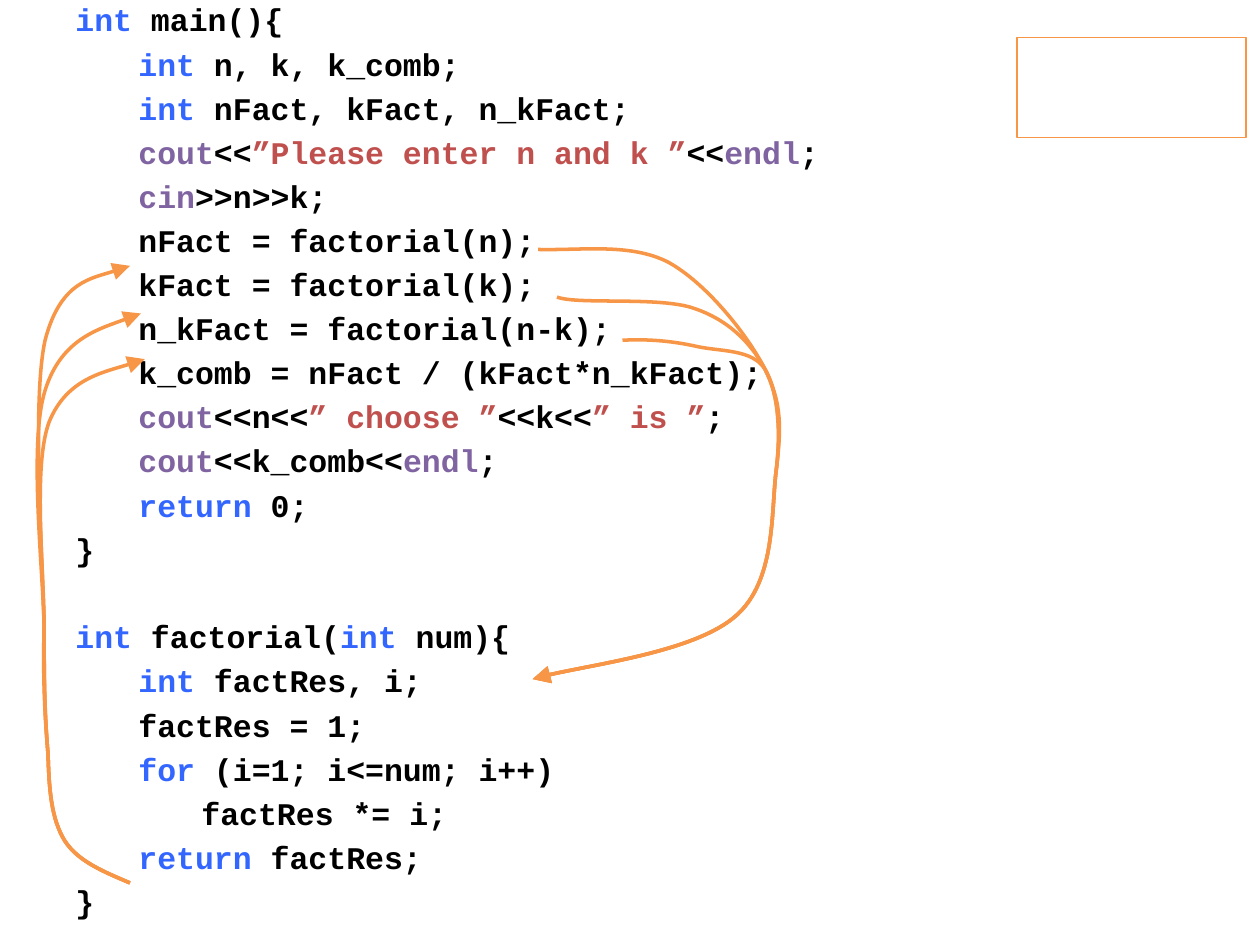
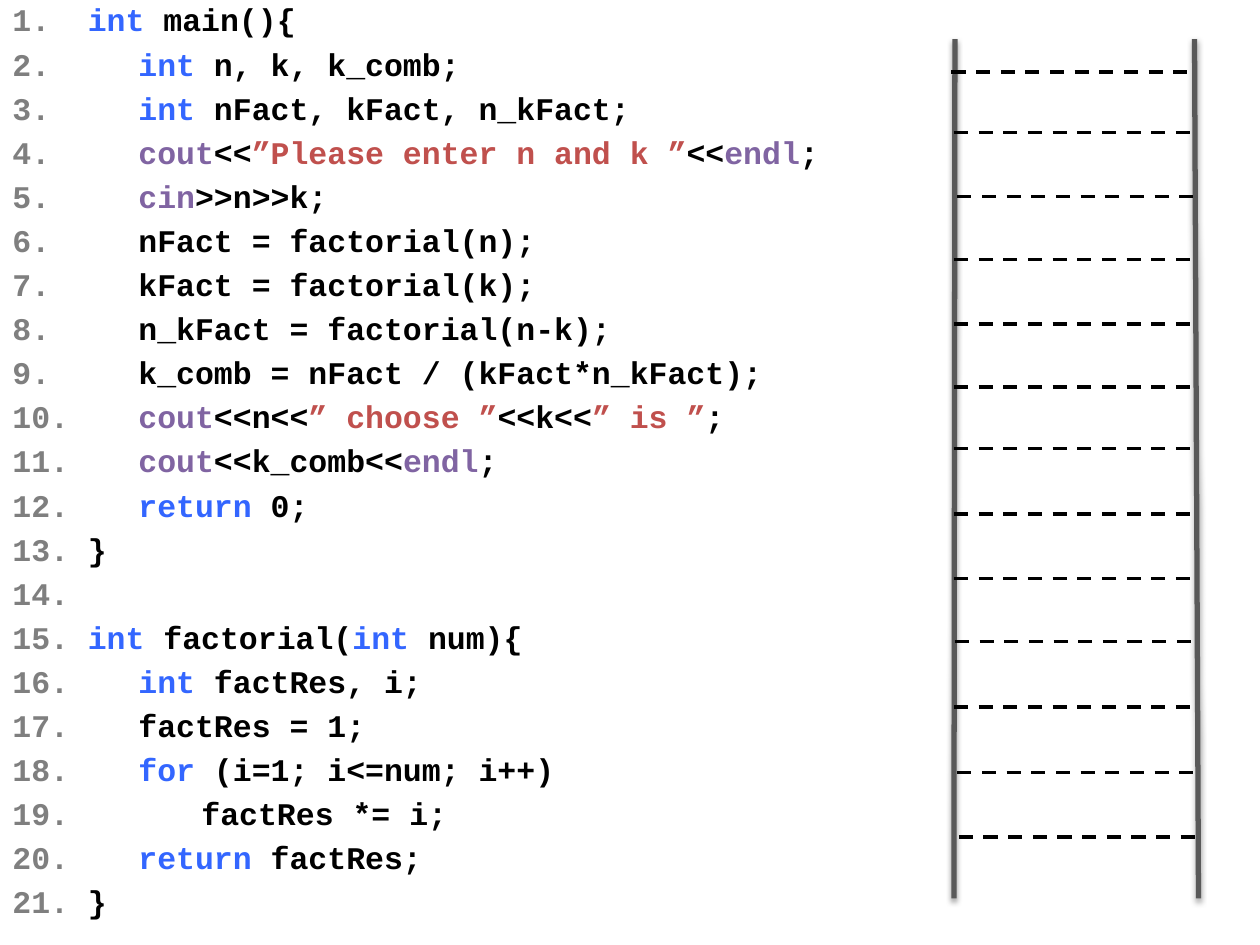
"""Build two slides that trace a factorial program: its calls and its stack."""
from dataclasses import dataclass
from itertools import groupby
from typing import Iterator, Optional

from lxml.etree import SubElement
from pptx import Presentation
from pptx.dml.color import RGBColor
from pptx.enum.dml import MSO_LINE
from pptx.enum.shapes import MSO_CONNECTOR, MSO_SHAPE
from pptx.oxml.ns import qn
from pptx.slide import Slide
from pptx.util import Cm, Pt

DASH = MSO_LINE.DASH
STRAIGHT = MSO_CONNECTOR.STRAIGHT
RECT = MSO_SHAPE.RECTANGLE

BLACK = RGBColor(0x00, 0x00, 0x00)
BLUE = RGBColor(0x33, 0x66, 0xFF)
PURPLE = RGBColor(0x80, 0x64, 0xA2)
RED = RGBColor(0xC0, 0x50, 0x4D)
GREY = RGBColor(0x7F, 0x7F, 0x7F)
ORANGE = RGBColor(0xF7, 0x96, 0x46)
DARK = RGBColor(0x59, 0x59, 0x59)

HUES = {"int": BLUE, "for": BLUE, "return": BLUE,
        "cout": PURPLE, "cin": PURPLE, "endl": PURPLE}
FORMAT = {"name": "Courier New", "size": Pt(18), "bold": True}
QUOTE = "”"
GAP, PITCH = 3.6, 24.9

CODE = """int main(){
\tint n, k, k_comb;
\tint nFact, kFact, n_kFact;
\tcout<<”Please enter n and k ”<<endl;
\tcin>>n>>k;
\tnFact = factorial(n);
\tkFact = factorial(k);
\tn_kFact = factorial(n-k);
\tk_comb = nFact / (kFact*n_kFact);
\tcout<<n<<” choose ”<<k<<” is ”;
\tcout<<k_comb<<endl;
\treturn 0;
}

int factorial(int num){
\tint factRes, i;
\tfactRes = 1;
\tfor (i=1; i<=num; i++)
\t\tfactRes *= i;
\treturn factRes;
}""".split("\n")

Point = tuple[float, float]

CALLS: list[list[Point]] = [
    [(12.55, 6.86), (13.08, 6.83), (13.59, 6.88), (14.07, 6.99),
     (14.55, 7.09), (15.16, 7.04), (15.42, 7.44), (15.67, 7.85)],
    [(11.23, 5.99), (11.66, 6.15), (13.31, 5.97), (14, 6.22),
     (14.68, 6.45), (15.14, 6.91), (15.42, 7.44), (15.7, 7.98)],
    [(10.85, 5.03), (11.76, 5.05), (12.7, 4.9), (13.46, 5.28),
     (14.22, 5.69), (15.06, 6.73), (15.42, 7.44), (15.77, 8.13)],
]
ENTRY: list[Point] = [
    (15.75, 8.64), (15.65, 9.47), (15.54, 10.31), (15.65, 11.71),
    (14.83, 12.42), (14.02, 13.13), (11.48, 13.46), (10.74, 13.69)]
EXIT: list[Point] = [
    (2.62, 17.8), (2.11, 17.58), (1.57, 17.37), (1.3, 16.94),
    (1.04, 16.51), (0.99, 15.95), (0.97, 15.21), (0.91, 14.5)]
RETURNS: list[list[Point]] = [
    [(0.86, 13.74), (0.89, 12.62), (0.89, 11.51), (0.66, 9.4),
     (0.99, 8.51), (1.35, 7.62), (2.59, 7.37), (2.92, 7.24)],
    [(0.89, 13.84), (0.89, 12.62), (0.86, 11.38), (0.58, 8.92),
     (0.91, 7.87), (1.24, 6.81), (2.51, 6.45), (2.84, 6.32)],
    [(0.89, 14.02), (0.89, 12.62), (0.86, 11.23), (0.64, 8.08),
     (0.91, 6.86), (1.22, 5.66), (2.29, 5.49), (2.62, 5.36)],
]


@dataclass
class Listing:
    """The frame and tab stops of a code listing, in centimetres."""
    left: float
    width: float
    stops: tuple[float, ...]
    numbered: bool


@dataclass
class Bar:
    """A straight line of the stack, in centimetres."""
    start: Point
    end: Point
    color: RGBColor = BLACK
    weight: float = 2
    dash: Optional[MSO_LINE] = DASH
    shadow: bool = False


PLAIN = Listing(1.27, 24.87, (1.27, 2.54), False)
COUNTED = Listing(0, 25.76, (1.52, 2.54, 3.81), True)
RAILS = [Bar(start, end, DARK, 3, None, True) for start, end in (
    ((19.25, 0.79), (19.23, 18.11)), ((24.16, 18.11), (24.08, 0.79)))]
RUNGS = [Bar((left, top), (left + 4.85, top)) for left, top in (
    (19.18, 1.45), (19.23, 2.67), (19.3, 3.96), (19.23, 5.23),
    (19.23, 6.53), (19.23, 7.8), (19.23, 9.04), (19.23, 10.36),
    (19.23, 11.66), (19.25, 12.93), (19.23, 14.25), (19.3, 15.57),
    (19.33, 16.87))]


def tokens(line: str) -> Iterator[tuple[str, RGBColor]]:
    """Yield the words and signs of a code line with their colours."""
    for index, chunk in enumerate(line.split(QUOTE)):
        if index % 2:
            yield QUOTE + chunk + QUOTE, RED
            continue
        for _, group in groupby(chunk, str.isalpha):
            word = "".join(group)
            yield word, HUES.get(word, BLACK)


def add_code(slide: Slide, listing: Listing) -> None:
    """Write the program, with line numbers if the listing has them."""
    box = slide.shapes.add_textbox(
        Cm(listing.left), Cm(-0.18), Cm(listing.width), Cm(19.23))
    frame = box.text_frame
    frame.word_wrap = True
    frame.margin_top = Cm(0.19)
    para, gap = frame.paragraphs[0], GAP
    for number, line in enumerate(CODE, 1):
        if not line and not listing.numbered:
            gap += PITCH
            continue
        if number > 1:
            para = frame.add_paragraph()
        para.space_before, gap = Pt(gap), GAP
        tabs = SubElement(para._p.get_or_add_pPr(), qn("a:tabLst"))
        for stop in listing.stops:
            SubElement(tabs, qn("a:tab"), pos=str(Cm(stop)), algn="l")
        pieces = list(tokens(line))
        if listing.numbered:
            pieces.insert(0, (f"{number}.\t" if line else f"{number}.", GREY))
        for color, group in groupby(pieces, lambda piece: piece[1]):
            run = para.add_run()
            run.text = "".join(word for word, _ in group)
            for key, value in FORMAT.items():
                setattr(run.font, key, value)
            run.font.color.rgb = color


def outline(shape, weight: float) -> None:
    """Leave a shape with only an orange line."""
    shape.shadow.inherit = False
    shape.fill.background()
    shape.line.color.rgb = ORANGE
    shape.line.width = Pt(weight)


def add_curve(slide: Slide, points: list[Point]) -> None:
    """Draw a curved arrow through cubic control points."""
    spots = [(Cm(x), Cm(y)) for x, y in points]
    pen = slide.shapes.build_freeform(*spots[0])
    pen.add_line_segments(spots[1:], close=False)
    shape = pen.convert_to_shape()
    outline(shape, 2)
    SubElement(shape.line._get_or_add_ln(), qn("a:tailEnd"),
               type="triangle", w="lg", len="lg")
    track = next(shape.element.iter(qn("a:path")))
    steps = track.findall(qn("a:lnTo"))
    for first in range(0, len(steps), 3):
        bend = SubElement(track, qn("a:cubicBezTo"))
        for step in steps[first:first + 3]:
            bend.append(step[0])
            track.remove(step)


def add_bar(slide: Slide, bar: Bar) -> None:
    """Draw one rail or rung of the stack."""
    ends = [Cm(value) for value in bar.start + bar.end]
    link = slide.shapes.add_connector(STRAIGHT, *ends)
    link.line.color.rgb = bar.color
    link.line.width = Pt(bar.weight)
    if bar.dash:
        link.line.dash_style = bar.dash
    effects = SubElement(link.element.spPr, qn("a:effectLst"))
    if bar.shadow:
        shade = SubElement(
            effects, qn("a:outerShdw"), blurRad=str(Pt(3.1)),
            dist=str(Pt(1.6)), dir="5400000", rotWithShape="0")
        tone = SubElement(shade, qn("a:srgbClr"), val=str(BLACK))
        SubElement(tone, qn("a:alpha"), val="38000")


def main() -> None:
    """Build and save both slides."""
    deck = Presentation()
    deck.slide_width, deck.slide_height = Cm(25.4), Cm(19.05)
    blank = deck.slide_layouts[6]

    flow = deck.slides.add_slide(blank)
    add_code(flow, PLAIN)
    for tail in RETURNS:
        add_curve(flow, EXIT + tail)
    for head in CALLS:
        add_curve(flow, head + ENTRY)
    outline(flow.shapes.add_shape(
        RECT, Cm(20.5), Cm(0.76), Cm(4.62), Cm(2.01)), 0.75)

    stack = deck.slides.add_slide(blank)
    add_code(stack, COUNTED)
    for bar in RAILS + RUNGS:
        add_bar(stack, bar)
    deck.save("out.pptx")


if __name__ == "__main__":
    main()
